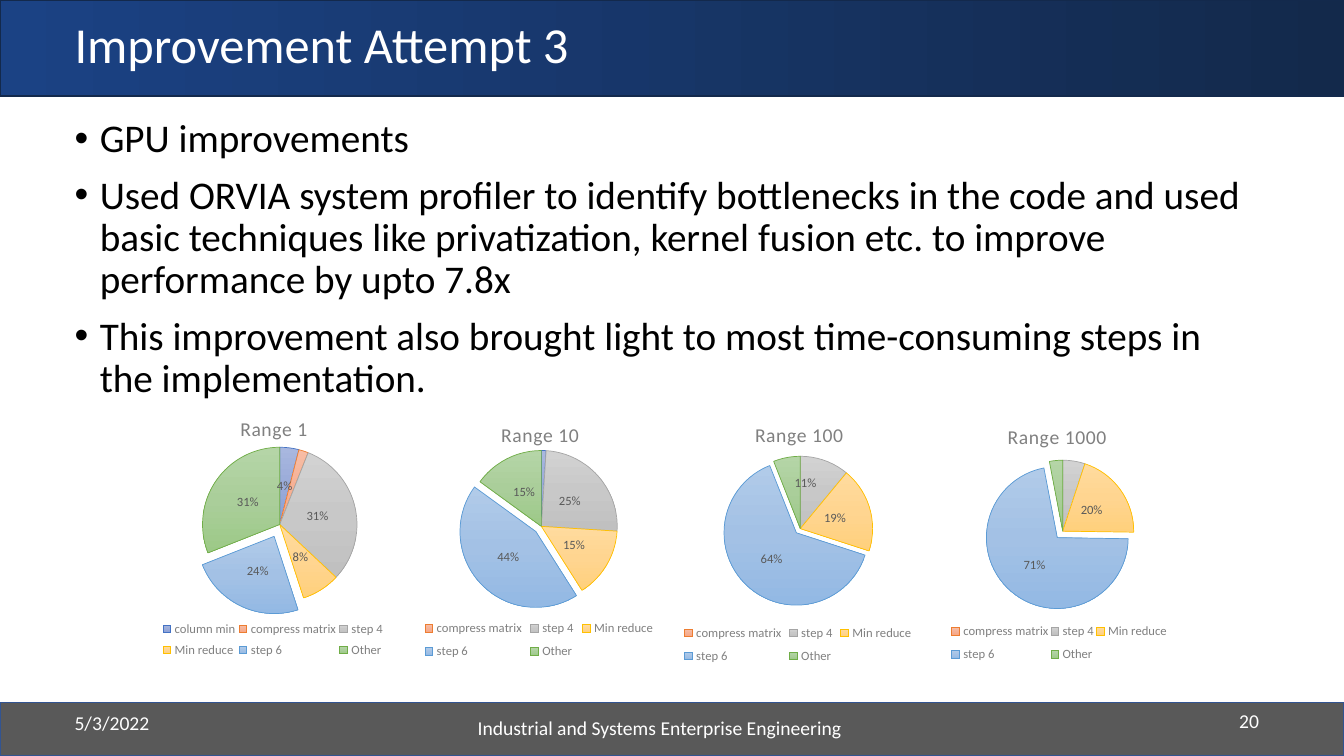
from copy import deepcopy
from lxml.etree import SubElement
from pptx import Presentation
from pptx.chart.data import CategoryChartData
from pptx.dml.color import RGBColor
from pptx.enum.chart import XL_CHART_TYPE, XL_LABEL_POSITION, XL_LEGEND_POSITION
from pptx.enum.shapes import MSO_SHAPE
from pptx.enum.text import MSO_ANCHOR, PP_ALIGN
from pptx.oxml import parse_xml
from pptx.oxml.ns import nsdecls, qn
from pptx.util import Cm, Pt

COLORS = {
    "white": "FFFFFF", "black": "000000", "label": "595959", "caption": "808080",
    "footer": "595959", "footer line": "325491",
    "header left": "1B4284", "header right": "13294B", "header line": "13294C",
}
FONT = "Calibri"

TITLE = "Improvement Attempt 3"
BULLETS = [
    "GPU improvements",
    "Used ORVIA system profiler to identify bottlenecks in the code and used basic "
    "techniques like privatization, kernel fusion etc. to improve performance by upto 7.8x",
    "This improvement also brought light to most time-consuming steps in the implementation.",
]
FOOTERS = [  # text, box in cm, alignment
    ("5/3/2022", (1.63, 17.7, 7.62, 1.02), PP_ALIGN.LEFT),
    ("Industrial and Systems Enterprise Engineering", (10.62, 17.65, 12.01, 1.35), PP_ALIGN.CENTER),
    ("20", (23.93, 17.65, 8.05, 1.02), PP_ALIGN.RIGHT),
]
STEPS = {  # step: (gradient from top to bottom, outline)
    "column min": (("A8B7DF", "9AABD9", "889ED7"), "4472C4"),
    "compress matrix": (("F7BDA5", "F5B196", "F8A582"), "ED7D31"),
    "step 4": (("D2D2D2", "C8C8C8", "C0C0C0"), "A5A5A5"),
    "Min reduce": (("FFDB9E", "FFD590", "FFD07C"), "FFC000"),
    "step 6": (("B1CBE9", "A3C1E5", "93B9E4"), "5B9BD5"),
    "Other": (("B5D5A7", "AACE9A", "9CC987"), "70AD47"),
}
EXPLODED = list(STEPS).index("step 6")
# box in cm; plot and legend as fractions of the chart
PIES = [
    dict(title="Range 10", box=(10.59, 10.26, 5.99, 6.83), values=(0.01, 0, 0.25, 0.15, 0.44, 0.15),
         plot=(0.19, 0.16, 0.64, 0.56), legend=(0, 0.76, 1, 0.2),
         explosion=10, unlabelled=(0, 1), hidden=[0]),
    dict(title="Range 100", box=(17.15, 10.26, 5.92, 6.88), values=(0, 0, 0.11, 0.19, 0.64, 0.06),
         plot=(0.2, 0.18, 0.62, 0.53), legend=(0, 0.77, 1, 0.2),
         explosion=8, unlabelled=(0, 1, 5), hidden=[0], moved={2: (-0.03, -0.04)}),
    dict(title="Range 1000", box=(23.62, 10.29, 5.97, 6.88), values=(0, 0, 0.05, 0.2, 0.71, 0.03),
         plot=(0.23, 0.19, 0.6, 0.52), legend=(0.05, 0.76, 0.93, 0.2),
         explosion=12, unlabelled=(0, 1, 2, 5), hidden=[0]),
    dict(title="Range 1", box=(4.01, 10.11, 5.74, 6.83), values=(0.04, 0.02, 0.31, 0.08, 0.24, 0.31),
         plot=(0.19, 0.17, 0.68, 0.57), legend=(0, 0.79, 1, 0.18),
         explosion=17, unlabelled=(1,), hidden=[]),
]
LETTER_WIDTH = 0.26  # cm, average in a pie title
TITLE_TOP = 0.04


def rgb(name):
    return RGBColor.from_string(COLORS.get(name, name))


def style(font, size, color):
    font.name, font.size, font.bold = FONT, Pt(size), False
    font.color.rgb = rgb(color)


def shade(fill, root, colors, angle):
    """Fill with evenly spaced gradient stops; root is the XML element holding the fill."""
    fill.gradient()
    fill.gradient_angle = angle
    stops = root.xpath(".//a:gsLst")[-1]
    for _ in colors[2:]:
        stops.insert(1, deepcopy(stops[0]))
    for i, (stop, color) in enumerate(zip(fill.gradient_stops, colors)):
        stop.position = i / (len(colors) - 1)
        stop.color.rgb = rgb(color)


def add_bar(slide, top, height, line, width):
    sp = slide.shapes.add_shape(MSO_SHAPE.RECTANGLE, 0, Cm(top), prs.slide_width, Cm(height))
    sp.shadow.inherit = False
    sp.line.color.rgb = rgb(line)
    sp.line.width = Pt(width)
    return sp


def add_text(slide, box, lines, size, color, align=PP_ALIGN.LEFT, anchor=MSO_ANCHOR.MIDDLE):
    tf = slide.shapes.add_textbox(*map(Cm, box)).text_frame
    tf.word_wrap = True
    tf.vertical_anchor = anchor
    tf.text = "\n".join(lines)
    for p in tf.paragraphs:
        p.alignment = align
        style(p.font, size, color)
    return tf.paragraphs


def add_bullet(p):
    p.line_spacing = 0.9
    p.space_before = Pt(10)
    pPr = p._p.get_or_add_pPr()
    pPr.set("marL", str(Cm(0.635)))
    pPr.set("indent", str(-Cm(0.635)))
    for tag in ('buFont {} typeface="Arial"', 'buChar {} char="•"'):
        bullet = parse_xml(f'<a:{tag.format(nsdecls("a"))}/>')
        pPr.insert_element_before(bullet, "a:tabLst", "a:defRPr", "a:extLst")


def place(parent, index, numbers, absolute=True, inner=False):
    """Give a chart part a manual layout, as the child at the given index."""
    for old in parent.findall(qn("c:layout")):
        parent.remove(old)
    layout = parse_xml(f'<c:layout {nsdecls("c")}><c:manualLayout/></c:layout>')
    parent.insert(index, layout)
    if inner:
        SubElement(layout[0], qn("c:layoutTarget"), val="inner")
    if absolute:
        for mode in ("xMode", "yMode"):
            SubElement(layout[0], qn(f"c:{mode}"), val="edge")
    for key, number in zip("xywh", numbers):
        SubElement(layout[0], qn(f"c:{key}"), val=str(round(number, 3)))


def delete_entry(parent, index, tag, item):
    """Suppress one label or legend entry, by an element at the given index."""
    parent.insert(index, parse_xml(
        f'<c:{tag} {nsdecls("c")}><c:idx val="{item}"/><c:delete val="1"/></c:{tag}>'))


def label_slices(series, pie):
    labels = series.data_labels
    labels.show_value = True
    labels.number_format, labels.number_format_is_linked = "0%", False
    labels.position = XL_LABEL_POSITION.CENTER
    style(labels.font, 9, "label")
    for index, i in enumerate(pie["unlabelled"]):
        delete_entry(labels._element, index, "dLbl", i)
    for i, shift in pie.get("moved", {}).items():
        label = series.points[i].data_label
        style(label.font, 9, "label")
        label.position = XL_LABEL_POSITION.CENTER
        dLbl = labels._element.xpath(f'c:dLbl[c:idx/@val="{i}"]')[0]
        place(dLbl, 1, shift, absolute=False)
        dLbl.insert(2, deepcopy(labels._element.find(qn("c:numFmt"))))


def add_pie(slide, pie):
    data = CategoryChartData(number_format="0%")
    data.categories = list(STEPS)
    data.add_series("Series 1", pie["values"])
    chart = slide.shapes.add_chart(XL_CHART_TYPE.PIE, *map(Cm, pie["box"]), data).chart
    style(chart.font, 10, "black")
    root = chart._chartSpace
    root.find(qn("c:chart")).addnext(parse_xml(
        f'<c:spPr {nsdecls("c", "a")}><a:solidFill><a:srgbClr val="{COLORS["white"]}"/></a:solidFill>'
        '<a:ln><a:noFill/></a:ln></c:spPr>'))

    chart.has_title = True
    title = chart.chart_title
    title.text_frame.text = pie["title"]
    p = title.text_frame.paragraphs[0]
    style(p.font, 14, "caption")
    p.runs[0]._r.get_or_add_rPr().set("spc", "30")
    left = 0.5 - LETTER_WIDTH * len(pie["title"]) / 2 / pie["box"][2]
    place(title._element, 1, (left, TITLE_TOP))

    chart.has_legend = True
    legend = chart.legend
    legend.position = XL_LEGEND_POSITION.BOTTOM
    legend.include_in_layout = False
    style(legend.font, 9, "caption")
    place(legend._element, 1, pie["legend"])
    for i in pie["hidden"]:
        delete_entry(legend._element, 1, "legendEntry", i)

    plot = chart.plots[0]
    plot.vary_by_categories = True
    place(root.xpath(".//c:plotArea")[0], 0, pie["plot"], inner=True)
    series = plot.series[0]
    for i, (colors, outline) in enumerate(STEPS.values()):
        fmt = series.points[i].format
        shade(fmt.fill, series._element, colors, 270)
        fmt.line.color.rgb = rgb(outline)
        fmt.line.width = Pt(0.5)
    spPr = series._element.findall(qn("c:dPt"))[EXPLODED].find(qn("c:spPr"))
    spPr.addprevious(parse_xml(f'<c:explosion {nsdecls("c")} val="{pie["explosion"]}"/>'))
    label_slices(series, pie)


prs = Presentation()
prs.slide_width, prs.slide_height = Cm(33.87), Cm(19.05)
slide = prs.slides.add_slide(prs.slide_layouts[6])
footer = add_bar(slide, 17.7, 1.35, "footer line", 1)
footer.fill.solid()
footer.fill.fore_color.rgb = rgb("footer")
header = add_bar(slide, 0, 2.41, "header line", 1.5)
shade(header.fill, header._element, ("header left", "header right"), 0)
add_text(slide, (1.63, 0, 30.35, 2.36), [TITLE], 36, "white")[0].line_spacing = 0.9
for p in add_text(slide, (1.63, 2.87, 30.35, 14.3), BULLETS, 28, "black", anchor=MSO_ANCHOR.TOP):
    add_bullet(p)
for text, box, align in FOOTERS:
    add_text(slide, box, [text], 14, "white", align)
for pie in PIES:
    add_pie(slide, pie)
prs.save("out.pptx")
